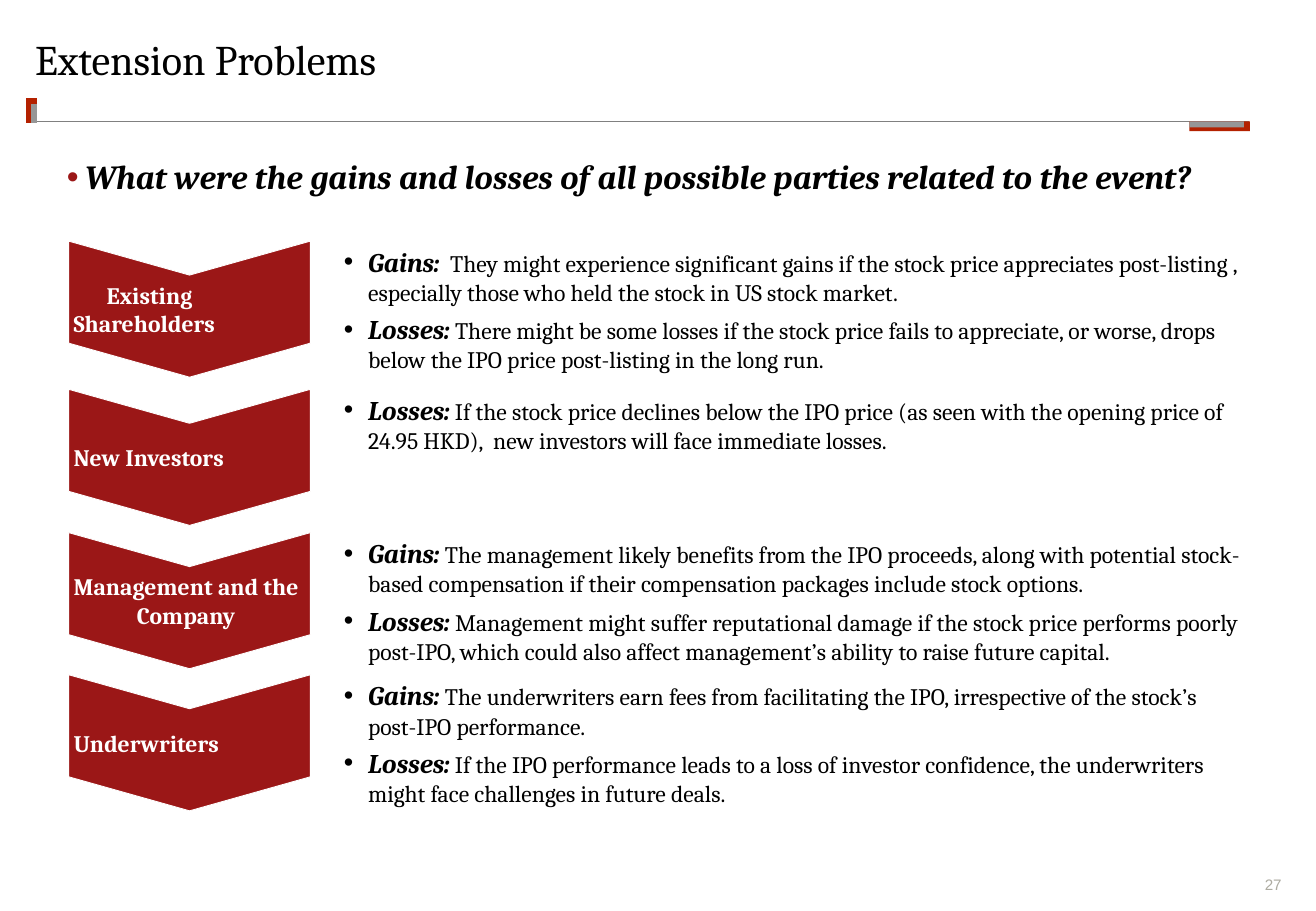
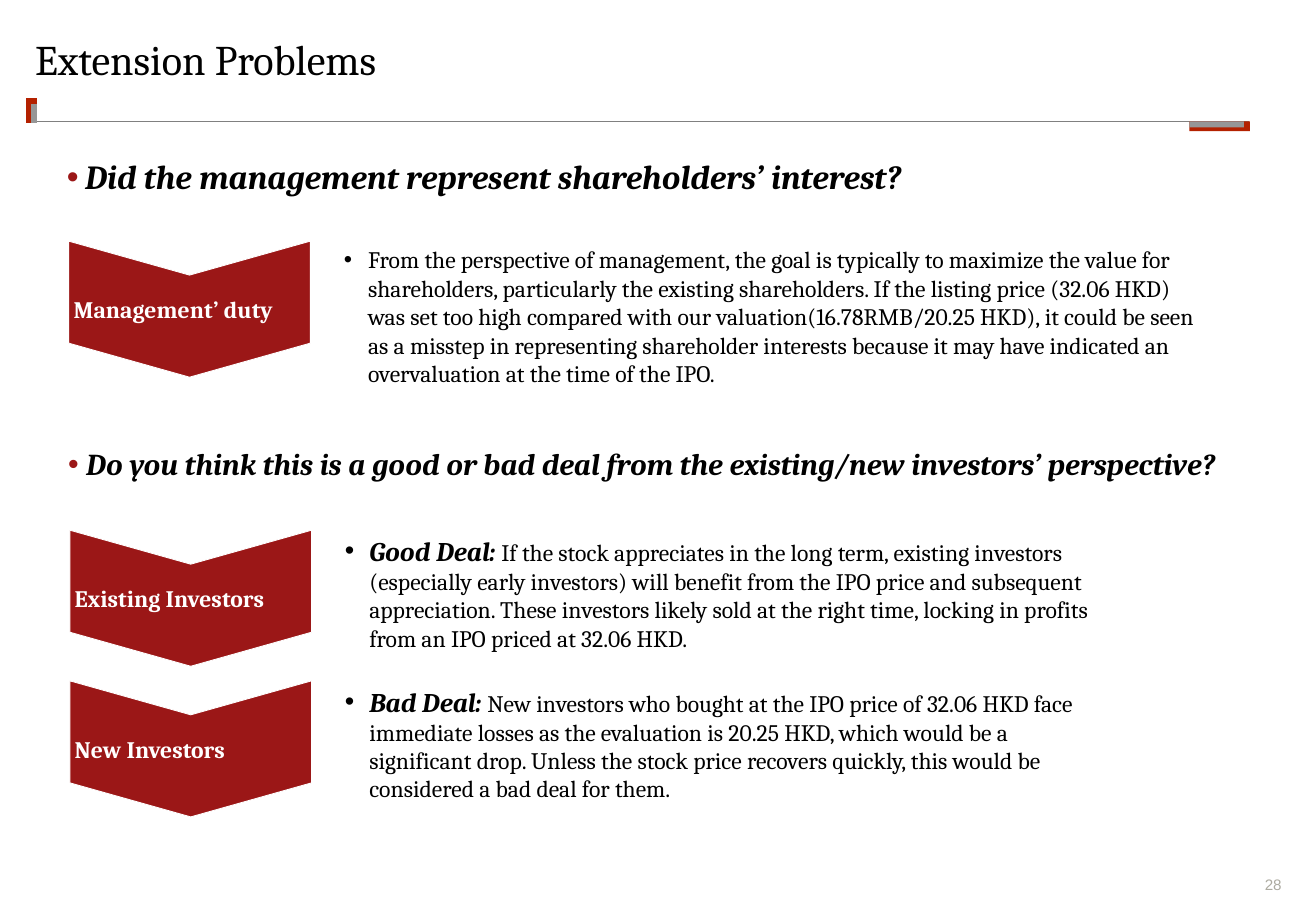
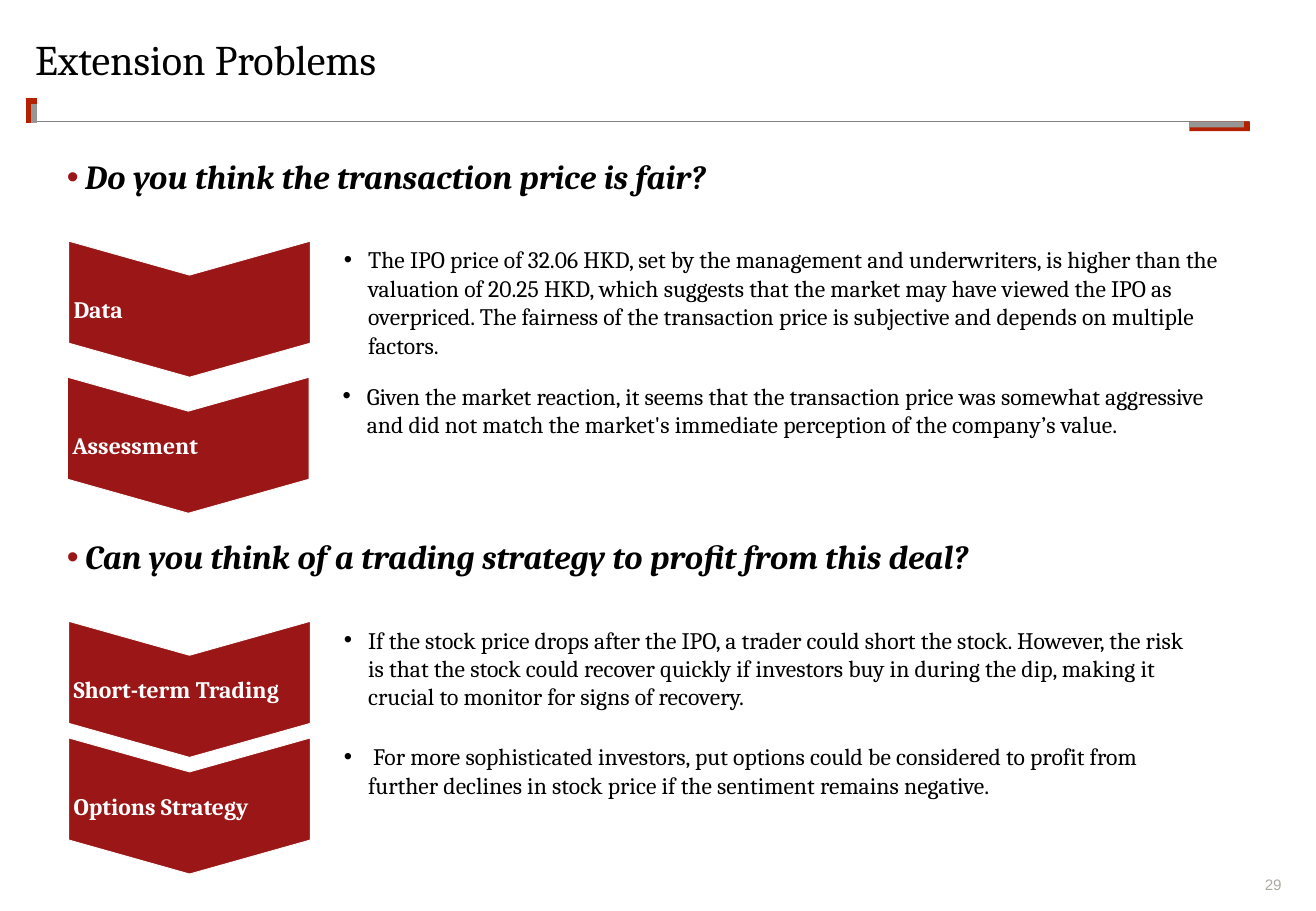
import dataclasses
import lxml.etree
import pptx
import pptx.dml.color
import pptx.enum.shapes
import pptx.enum.text
import pptx.oxml.ns
import pptx.util


@dataclasses.dataclass(frozen=True)
class Theme:
    face: str = "Cambria"
    sans: str = "Arial"
    ink: str = "000000"
    white: str = "FFFFFF"
    wine: str = "9B1717"
    red: str = "B42100"
    gray: str = "969696"
    rule: str = "808080"
    pale: str = "ADABA1"
    title: float = 25
    head: float = 20
    small: float = 18
    lead: float = 16
    body: float = 14
    foot: float = 9
    cell: float = 0.1
    wide: float = 108.33
    high: float = 75


class Deck:
    def __init__(self, theme):
        self.theme = theme
        self.file = pptx.Presentation()
        self.file.slide_width = self.size(theme.wide)
        self.file.slide_height = self.size(theme.high)
        self.slide = None

    def size(self, cells):
        return pptx.util.Inches(cells * self.theme.cell)

    def place(self, *cells):
        return [self.size(cell) for cell in cells]

    def tint(self, code):
        return pptx.dml.color.RGBColor.from_string(code)

    def page(self, title, count):
        look = self.theme
        self.slide = self.file.slides.add_slide(self.file.slide_layouts[6])
        foot = self.box(102.4, 72.1, 3.1, 1.5, 0)
        foot.vertical_anchor = pptx.enum.text.MSO_ANCHOR.BOTTOM
        foot.paragraphs[0].alignment = pptx.enum.text.PP_ALIGN.RIGHT
        self.words(foot.paragraphs[0], str(count), look.foot, look.pale, face=look.sans)
        self.line(3, 10, 102.8, 10, look.rule, 1)
        self.line(2.6, 10.1, 2.6, 8.1, look.red, 6)
        self.line(2.8, 10.1, 2.8, 8.6, look.gray, 3)
        self.shape("RECTANGLE", 97.9, 10, 5, 0.8, look.red)
        self.shape("RECTANGLE", 97.9, 10, 4.5, 0.5, look.gray)
        head = self.box(2.9, 3.2, 102.5, 6.7, 0).paragraphs[0]
        head.line_spacing = 0.9
        self.words(head, title, look.title)

    def line(self, left, top, right, base, code, width):
        kind = pptx.enum.shapes.MSO_CONNECTOR.STRAIGHT
        line = self.slide.shapes.add_connector(kind, *self.place(left, top, right, base))
        line.line.color.rgb = self.tint(code)
        line.line.width = pptx.util.Pt(width)
        lxml.etree.SubElement(line.element.spPr, pptx.oxml.ns.qn("a:effectLst"))

    def shape(self, kind, left, top, wide, high, code):
        kind = getattr(pptx.enum.shapes.MSO_SHAPE, kind)
        shape = self.slide.shapes.add_shape(kind, *self.place(left, top, wide, high))
        shape.shadow.inherit = False
        shape.fill.solid()
        shape.fill.fore_color.rgb = self.tint(code)
        shape.line.fill.background()
        return shape

    def inset(self, frame, pad):
        frame.margin_left = frame.margin_right = self.size(pad)
        frame.margin_top = frame.margin_bottom = self.size(pad)
        frame.word_wrap = True

    def box(self, left, top, wide, high, pad):
        frame = self.slide.shapes.add_textbox(*self.place(left, top, wide, high)).text_frame
        self.inset(frame, pad)
        return frame

    def words(self, para, text, size, code=None, bold=False, slant=False, face=None):
        run = para.add_run()
        run.text = text
        run.font.name = face or self.theme.face
        run.font.size = pptx.util.Pt(size)
        run.font.color.rgb = self.tint(code or self.theme.ink)
        run.font.bold = bold
        run.font.italic = slant

    def dot(self, para, left, hang, code):
        para.level = 1
        props = para._p.get_or_add_pPr()
        props.set("marL", str(self.size(left)))
        props.set("indent", str(-self.size(hang)))
        name = pptx.oxml.ns.qn
        tone = lxml.etree.SubElement(props, name("a:buClr"))
        lxml.etree.SubElement(tone, name("a:srgbClr")).set("val", code)
        lxml.etree.SubElement(props, name("a:buFont")).set("typeface", self.theme.sans)
        lxml.etree.SubElement(props, name("a:buChar")).set("char", "•")

    def ask(self, row, text, size=None, shift=0):
        para = self.box(2.9 + shift, row, 102.8, 10.2, 0.5).paragraphs[0]
        self.dot(para, 3.6, 1.5, self.theme.wine)
        para.line_spacing = 0.9
        self.words(para, text, size or self.theme.head, bold=True, slant=True)

    def badge(self, row, label, shift):
        look = self.theme
        wide, high = 11.2, 19.9
        turn = (high - wide) / 2
        mark = self.shape("CHEVRON", 10 + shift, row - turn + 0.05, wide, high, look.wine)
        mark.rotation = 90
        mark.adjustments[0] = 0.25
        mark.line.color.rgb = self.tint(look.white)
        mark.line.width = pptx.util.Pt(0.5)
        frame = mark.text_frame
        self.inset(frame, 0.4)
        frame.vertical_anchor = pptx.enum.text.MSO_ANCHOR.MIDDLE
        props = mark.element.find(".//" + pptx.oxml.ns.qn("a:bodyPr"))
        props.set("vert", "eaVert")
        props.set("rot", "10800000")
        para = frame.paragraphs[0]
        para.alignment = pptx.enum.text.PP_ALIGN.CENTER
        self.words(para, label, look.body, look.white, bold=True)

    def point(self, row, label, wide, high, *items, shift=0):
        look = self.theme
        self.badge(row, label, shift)
        frame = self.box(27.9 + shift, row, wide, high, 0.4)
        for rank, (lead, text) in enumerate(items):
            para = frame.add_paragraph() if rank else frame.paragraphs[0]
            self.dot(para, 2, 2, look.ink)
            if rank:
                para.space_before = pptx.util.Pt(4)
            if lead:
                self.words(para, lead, look.lead, bold=True, slant=True)
            self.words(para, text, look.body)


def main():
    theme = Theme()
    deck = Deck(theme)
    title = "Extension Problems"

    deck.page(title, 27)
    deck.point(
        19.8, " Existing Shareholders ", 76.2, 11.5,
        ("Gains:", "  They might experience significant gains if the stock price appreciates "
         "post-listing , especially those who held the stock in US stock market."),
        ("Losses:", " There might be some losses if the stock price fails to appreciate, or "
         "worse, drops below the IPO price post-listing in the long run."))
    deck.point(
        32, "New Investors", 73.4, 5.8,
        ("Losses:", " If the stock price declines below the IPO price (as seen with the opening "
         "price of 24.95 HKD),  new investors will face immediate losses."))
    deck.point(
        43.8, "Management and the Company", 77.8, 11.5,
        ("Gains:", " The management likely benefits from the IPO proceeds, along with potential "
         "stock-based compensation if their compensation packages include stock options."),
        ("Losses:", " Management might suffer reputational damage if the stock price performs "
         "poorly post-IPO, which could also affect management’s ability to raise future capital."))
    deck.point(
        55.5, "Underwriters", 74.7, 11.5,
        ("Gains:", " The underwriters earn fees from facilitating the IPO, irrespective of the "
         "stock’s post-IPO performance."),
        ("Losses:", " If the IPO performance leads to a loss of investor confidence, the "
         "underwriters might face challenges in future deals."))
    deck.ask(12.7, "What were the gains and losses of all possible parties related to the event?")

    deck.page(title, 28)
    deck.point(
        19.8, "Management’ duty", 71.5, 12.6,
        ("", "From the perspective of management, the goal is typically to maximize the value for "
         "shareholders, particularly the existing shareholders. If the listing price (32.06 HKD) "
         "was set too high compared with our valuation(16.78RMB/20.25 HKD), it could be seen as "
         "a misstep in representing shareholder interests because it may have indicated an "
         "overvaluation at the time of the IPO."))
    deck.ask(12.7, "Did the management represent shareholders’ interest?")
    deck.point(
        43.6, "Existing Investors", 63.6, 10.6,
        ("Good Deal: ", "If the stock appreciates in the long term, existing investors "
         "(especially early investors) will benefit from the IPO price and subsequent "
         "appreciation. These investors likely sold at the right time, locking in profits from "
         "an IPO priced at 32.06 HKD."), shift=0.1)
    deck.point(
        56, "New Investors", 61.3, 10.6,
        ("Bad Deal: ", "New investors who bought at the IPO price of 32.06 HKD face immediate "
         "losses as the evaluation is 20.25 HKD, which would be a significant drop. Unless the "
         "stock price recovers quickly, this would be considered a bad deal for them."), shift=0.1)
    deck.ask(
        36.5, "Do you think this is a good or bad deal from the existing/new investors’ "
        "perspective?", theme.small, 0.1)

    deck.page(title, 29)
    deck.point(
        19.8, "Data", 73.1, 10.2,
        ("", "The IPO price of 32.06 HKD, set by the management and underwriters, is higher than "
         "the valuation of 20.25 HKD, which suggests that the market may have viewed the IPO as "
         "overpriced. The fairness of the transaction price is subjective and depends on "
         "multiple factors."))
    deck.point(
        31, "Assessment", 73, 7.9,
        ("", "Given the market reaction, it seems that the transaction price was somewhat "
         "aggressive and did not match the market's immediate perception of the company’s "
         "value."), shift=-0.1)
    deck.ask(12.7, "Do you think the transaction price is fair?")
    deck.point(
        51.1, "Short-term Trading", 71.5, 7.9,
        ("", "If the stock price drops after the IPO, a trader could short the stock. However, "
         "the risk is that the stock could recover quickly if investors buy in during the dip, "
         "making it crucial to monitor for signs of recovery."))
    deck.point(
        60.7, "Options Strategy", 68, 5.5,
        ("", " For more sophisticated investors, put options could be considered to profit from "
         "further declines in stock price if the sentiment remains negative."))
    deck.ask(44, "Can you think of a trading strategy to profit from this deal?")

    deck.file.save("out.pptx")


if __name__ == "__main__":
    main()
